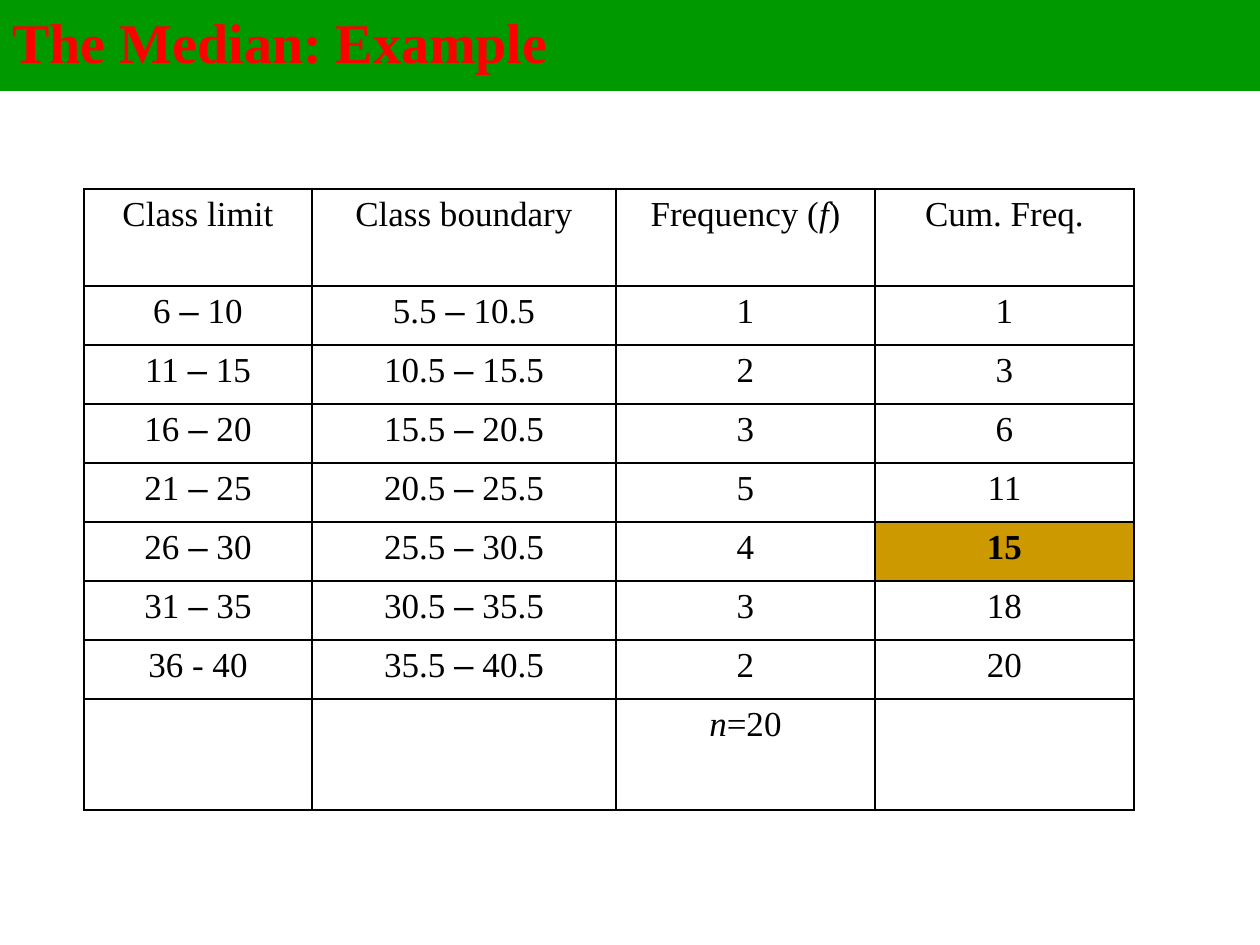
from itertools import accumulate
from pptx import Presentation
from pptx.dml.color import RGBColor as RGB
from pptx.enum.shapes import MSO_SHAPE as Geo
from pptx.enum.text import MSO_ANCHOR as Anchor, PP_ALIGN as Align
from pptx.oxml import parse_xml
from pptx.oxml.ns import nsdecls
from pptx.util import Pt

SCALE = 914400 / 126


def px(n):
    return round(n * SCALE)


def tint(code):
    return RGB.from_string(code)


def write(para, text, font="Times New Roman", size=20, color="000000", bold=False, ital=False):
    run = para.add_run()
    run.text = text
    face = run.font
    face.name, face.size = font, Pt(size)
    face.bold, face.italic = bold, ital
    face.color.rgb = tint(color)


class Deck:
    green, red, gold, black = "009900", "FF0000", "CC9900", "000000"

    def __init__(self):
        self.prs = Presentation()
        self.prs.slide_width, self.prs.slide_height = px(1260), px(945)
        self.slide = self.prs.slides.add_slide(self.prs.slide_layouts[6])

    def title(self, text, high):
        bar = self.slide.shapes.add_shape(Geo.RECTANGLE, 0, 0, px(1260), px(high))
        bar.shadow.inherit = False
        bar.fill.solid()
        bar.fill.fore_color.rgb = tint(self.green)
        bar.line.color.rgb = tint(self.green)
        bar.line.width = Pt(0.75)
        frame = bar.text_frame
        frame.word_wrap = True
        frame.vertical_anchor = Anchor.MIDDLE
        para = frame.paragraphs[0]
        para.alignment, para.line_spacing = Align.LEFT, 0.9
        write(para, text, size=32, color=self.red, bold=True)

    def cell(self, cell, runs, fill=None):
        props = cell._tc.get_or_add_tcPr()
        for side in "LRTB":
            props.append(parse_xml(
                f'<a:ln{side} {nsdecls("a")} w="12700"><a:solidFill>'
                f'<a:srgbClr val="{self.black}"/></a:solidFill></a:ln{side}>'))
        if fill:
            cell.fill.solid()
            cell.fill.fore_color.rgb = tint(fill)
        else:
            cell.fill.background()
        para = cell.text_frame.paragraphs[0]
        para.alignment = Align.CENTER
        for text, style in runs:
            write(para, text, **style)

    def table(self, left, top, cols, rows, data, mark):
        grid = self.slide.shapes.add_table(
            len(rows), len(cols), px(left), px(top), px(sum(cols)), px(sum(rows))).table
        grid.first_row = grid.horz_banding = False
        for col, wide in zip(grid.columns, cols):
            col.width = px(wide)
        for row, high in zip(grid.rows, rows):
            row.height = px(high)
        for r, line in enumerate(data):
            for c, runs in enumerate(line):
                self.cell(grid.cell(r, c), runs, self.gold if (r, c) == mark else None)


def plain(text, **style):
    return [(str(text), style)]


def span(low, high):
    return plain(f"{low} ") + plain("–", font="Arial") + plain(f" {high}")


def main():
    counts = [1, 2, 3, 5, 4, 3, 2]
    half = 4
    data = [[plain("Class limit"), plain("Class boundary"),
             plain("Frequency (") + plain("f", ital=True) + plain(")"),
             plain("Cum. Freq.")]]
    for i, (freq, cum) in enumerate(zip(counts, accumulate(counts))):
        low = 6 + 5 * i
        limit = plain("36 - 40") if low == 36 else span(low, low + 4)
        data.append([limit, span(low - 0.5, low + 4.5),
                     plain(freq), plain(cum, bold=i == half)])
    data.append([[], [], plain("n", ital=True) + plain(f"={sum(counts)}"), []])

    deck = Deck()
    deck.table(84, 189, [228, 304, 259, 259], [97] + [59] * len(counts) + [111],
               data, (half + 1, 3))
    deck.title("The Median: Example", 90)
    deck.prs.save("out.pptx")


if __name__ == "__main__":
    main()
